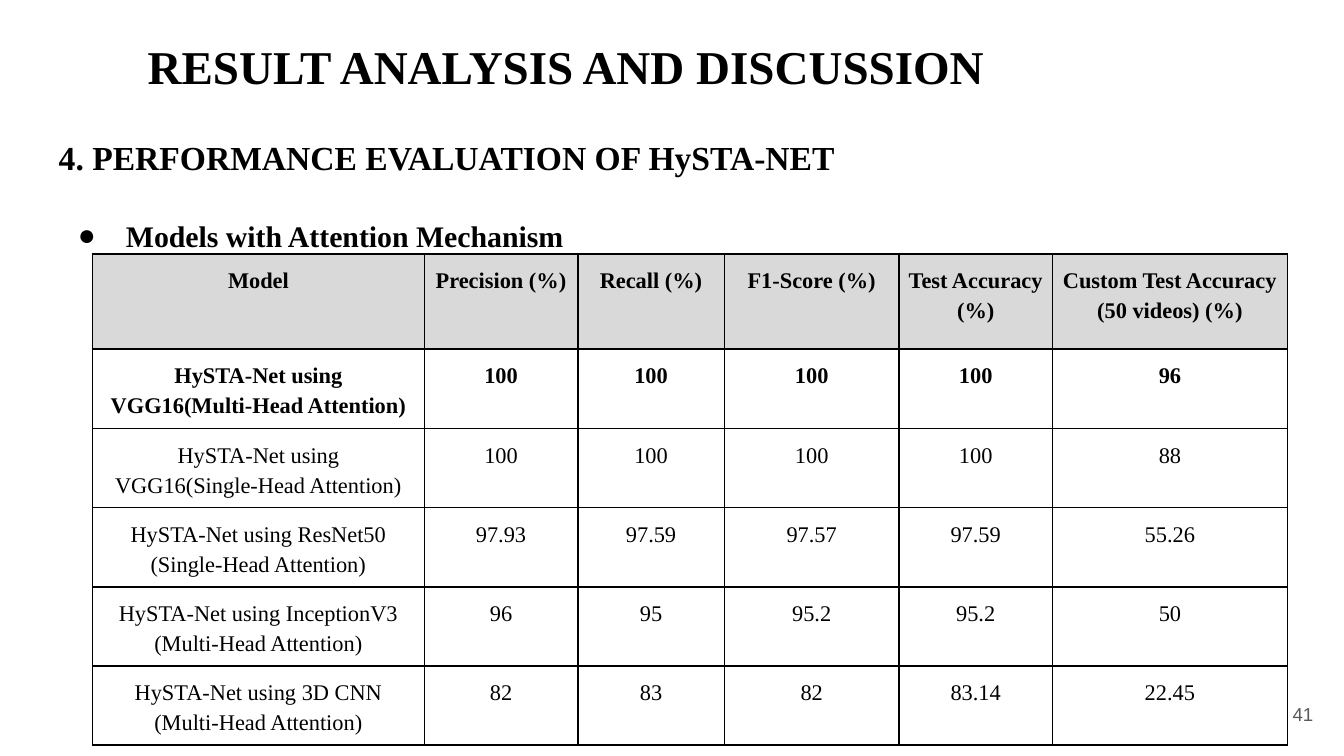
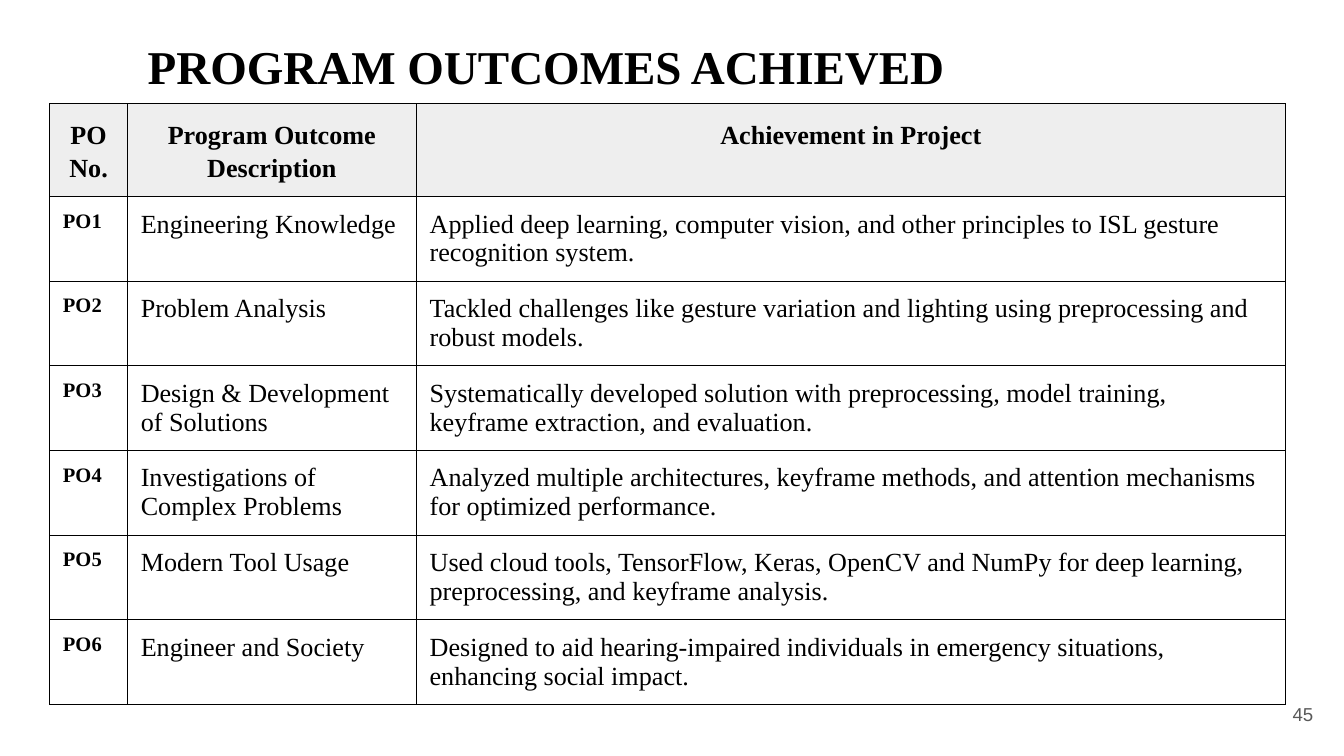
from lxml import etree
from pptx import Presentation
from pptx.dml.color import RGBColor
from pptx.enum.text import MSO_ANCHOR, MSO_AUTO_SIZE, PP_ALIGN
from pptx.oxml.ns import qn
from pptx.util import Cm, Pt

LEFT, CENTER, RIGHT, JUSTIFY = PP_ALIGN.LEFT, PP_ALIGN.CENTER, PP_ALIGN.RIGHT, PP_ALIGN.JUSTIFY
TOP, MIDDLE = MSO_ANCHOR.TOP, MSO_ANCHOR.MIDDLE
NO_AUTOFIT = MSO_AUTO_SIZE.NONE

BLACK = RGBColor(0x00, 0x00, 0x00)
NUMBER_GRAY = RGBColor(0x59, 0x59, 0x59)
MODEL_HEADER = RGBColor(0xD9, 0xD9, 0xD9)
OUTCOME_HEADER = RGBColor(0xEE, 0xEE, 0xEE)
SERIF, SANS = "Times New Roman", "Arial"

TITLE_LAYOUT, BODY_LAYOUT = 5, 1
TITLE_BOX = (2.54, 0.36, 19.94, 1.6)
BODY_BOX = (0.86, 1.96, 23.67, 2.84)
NUMBER_BOX = (23.55, 12.95, 1.52, 1.09)
INSET = 0.25

SECTION = "4. PERFORMANCE EVALUATION OF HySTA-NET"
TOPIC = "Models with Attention Mechanism"

MODEL_ROWS = [
    ("Model", "Precision (%)", "Recall (%)", "F1-Score (%)", "Test Accuracy (%)",
     "Custom Test Accuracy (50 videos) (%)"),
    ("HySTA-Net using\vVGG16(Multi-Head Attention)", "100", "100", "100", "100", "96"),
    ("HySTA-Net using\vVGG16(Single-Head Attention)", "100", "100", "100", "100", "88"),
    ("HySTA-Net using ResNet50\v(Single-Head Attention)", "97.93", "97.59", "97.57", "97.59", "55.26"),
    ("HySTA-Net using InceptionV3\v(Multi-Head Attention)", "96", "95", "95.2", "95.2", "50"),
    ("HySTA-Net using 3D CNN\v(Multi-Head Attention)", "82", "83", "82", "83.14", "22.45"),
]

OUTCOME_ROWS = [
    ("PO No.", "Program Outcome Description", "Achievement in Project"),
    ("PO1", "Engineering Knowledge",
     "Applied deep learning, computer vision, and other principles to ISL gesture recognition system."),
    ("PO2", "Problem Analysis",
     "Tackled challenges like gesture variation and lighting using preprocessing and robust models."),
    ("PO3", "Design & Development of Solutions",
     "Systematically developed solution with preprocessing, model training, keyframe extraction, and evaluation."),
    ("PO4", "Investigations of Complex Problems",
     "Analyzed multiple architectures, keyframe methods, and attention mechanisms for optimized performance."),
    ("PO5", "Modern Tool Usage",
     "Used cloud tools, TensorFlow, Keras, OpenCV and NumPy for deep learning, preprocessing, and keyframe analysis."),
    ("PO6", "Engineer and Society",
     "Designed to aid hearing-impaired individuals in emergency situations, enhancing social impact."),
]

MODEL_TABLE = {
    "rows": MODEL_ROWS, "left": 1.75, "top": 4.8, "widths": (6.27, 2.9, 2.77, 3.3, 2.9, 4.44),
    "header_height": 1.8, "row_height": 1.49, "inset": 0.18, "border": 1, "header_fill": MODEL_HEADER,
}
OUTCOME_TABLE = {
    "rows": OUTCOME_ROWS, "left": 0.94, "top": 1.96, "widths": (1.47, 5.46, 16.43),
    "header_height": 1.75, "row_height": 1.6, "inset": INSET, "border": 0.75, "header_fill": OUTCOME_HEADER,
}


def set_all(target, values):
    for name, value in values.items():
        setattr(target, name, value)


def write(paragraph, text, size, bold=False, name=SERIF, color=BLACK, **layout):
    set_all(paragraph, {"alignment": LEFT, "space_before": Pt(0), **layout})
    paragraph.text = text
    for run in paragraph.runs:
        set_all(run.font, {"size": Pt(size), "bold": bold, "name": name})
        run.font.color.rgb = color


def set_indent(paragraph, margin, indent, bullet=None):
    properties = paragraph._p.get_or_add_pPr()
    properties.set("marL", str(Cm(margin)))
    properties.set("indent", str(Cm(indent)))
    if bullet is None:
        etree.SubElement(properties, qn("a:buNone"))
        return
    bullet_color = etree.SubElement(properties, qn("a:buClr"))
    etree.SubElement(bullet_color, qn("a:srgbClr"), val=str(BLACK))
    etree.SubElement(properties, qn("a:buFont"), typeface=SERIF)
    etree.SubElement(properties, qn("a:buChar"), char=bullet)


def place(shape, box, anchor=TOP):
    set_all(shape, dict(zip(("left", "top", "width", "height"), map(Cm, box))))
    frame = shape.text_frame
    margins = dict.fromkeys(("margin_left", "margin_right", "margin_top", "margin_bottom"), Cm(INSET))
    set_all(frame, {"word_wrap": True, "auto_size": NO_AUTOFIT, "vertical_anchor": anchor, **margins})
    return frame


def add_slide(presentation, layout, title, number):
    slide = presentation.slides.add_slide(presentation.slide_layouts[layout])
    title_frame = place(slide.shapes.title, TITLE_BOX)
    title_frame.margin_top = Cm(0.35)
    write(title_frame.paragraphs[0], title, 25.2, bold=True)
    number_box = slide.shapes.add_textbox(0, 0, 0, 0)
    number_frame = place(number_box, NUMBER_BOX, MIDDLE)
    write(number_frame.paragraphs[0], str(number), 10, name=SANS, color=NUMBER_GRAY, alignment=RIGHT)
    return slide


def add_body(slide):
    frame = place(slide.placeholders[1], BODY_BOX)
    section = frame.paragraphs[0]
    set_indent(section, 0, 0)
    write(section, SECTION, 18, bold=True, line_spacing=1.5)
    topic = frame.add_paragraph()
    set_indent(topic, 1.27, -0.91, "●")
    write(topic, TOPIC, 16, bold=True, alignment=JUSTIFY, line_spacing=1.5, space_before=Pt(12))


def format_cell(cell, inset, border, fill):
    margins = ("margin_left", "margin_right", "margin_top", "margin_bottom")
    set_all(cell, {"vertical_anchor": TOP, **dict.fromkeys(margins, Cm(inset))})
    properties = cell._tc.get_or_add_tcPr()
    for side in ("lnL", "lnR", "lnT", "lnB"):
        line = etree.SubElement(properties, qn(f"a:{side}"), w=str(Pt(border)))
        line_fill = etree.SubElement(line, qn("a:solidFill"))
        etree.SubElement(line_fill, qn("a:srgbClr"), val=str(BLACK))
    if fill is None:
        cell.fill.background()
    else:
        cell.fill.solid()
        cell.fill.fore_color.rgb = fill


def model_style(row, column):
    return {"size": 12, "bold": row < 2, "alignment": CENTER, "line_spacing": 1.21, "space_after": Pt(0.9)}


def outcome_style(row, column):
    if row == 0:
        return {"size": 14, "bold": True, "alignment": CENTER, "line_spacing": 1.15}
    return {"size": 11, "bold": True} if column == 0 else {"size": 14}


def add_table(slide, design, style):
    rows, widths = design["rows"], design["widths"]
    heights = [design["header_height"]] + [design["row_height"]] * (len(rows) - 1)
    area = map(Cm, (design["left"], design["top"], sum(widths), sum(heights)))
    table = slide.shapes.add_table(len(rows), len(widths), *area).table
    set_all(table, {"first_row": False, "horz_banding": False})
    for column, width in zip(table.columns, widths):
        column.width = Cm(width)
    for row_index, (texts, height) in enumerate(zip(rows, heights)):
        table.rows[row_index].height = Cm(height)
        fill = design["header_fill"] if row_index == 0 else None
        for column_index, text in enumerate(texts):
            cell = table.cell(row_index, column_index)
            format_cell(cell, design["inset"], design["border"], fill)
            write(cell.text_frame.paragraphs[0], text, **style(row_index, column_index))


def main():
    presentation = Presentation()
    set_all(presentation, {"slide_width": Cm(25.4), "slide_height": Cm(14.29)})

    results = add_slide(presentation, BODY_LAYOUT, "RESULT ANALYSIS AND DISCUSSION", 41)
    add_body(results)
    add_table(results, MODEL_TABLE, model_style)

    outcomes = add_slide(presentation, TITLE_LAYOUT, "PROGRAM OUTCOMES ACHIEVED", 45)
    add_table(outcomes, OUTCOME_TABLE, outcome_style)

    presentation.save("out.pptx")


if __name__ == "__main__":
    main()
